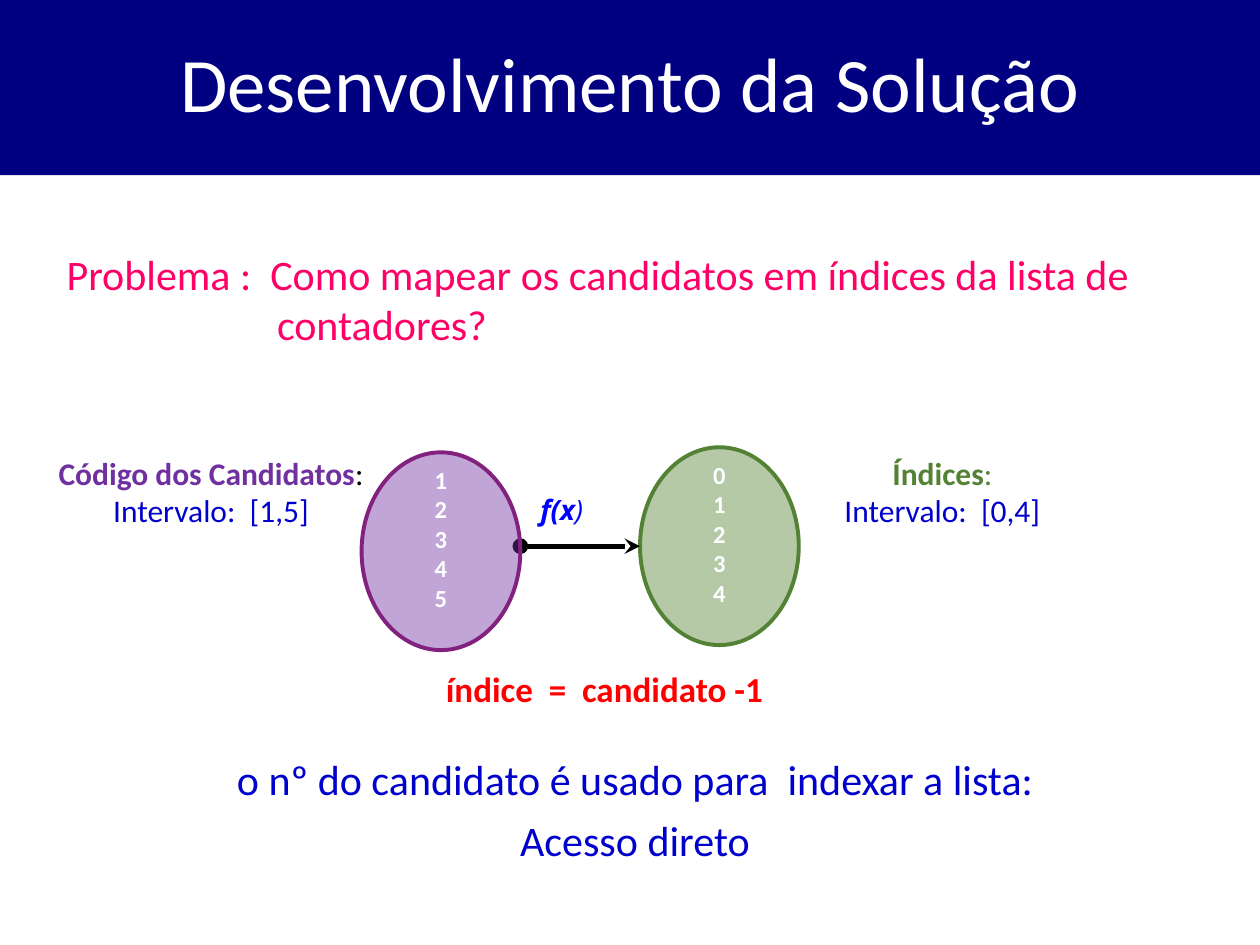
from lxml import etree
from pptx import Presentation
from pptx import util as u
from pptx.dml.color import RGBColor
from pptx.enum import shapes, text
from pptx.oxml.ns import qn

WHITE = RGBColor(0xFF, 0xFF, 0xFF)
BLACK = RGBColor(0, 0, 0)
NAVY = RGBColor(0, 0, 0x80)
BLUE = RGBColor(0, 0, 0xCC)
BRIGHT_BLUE = RGBColor(0, 0, 0xFF)
PINK = RGBColor(0xFF, 0, 0x66)
RED = RGBColor(0xFF, 0, 0)
PURPLE = RGBColor(0x70, 0x30, 0xA0)
PLUM = RGBColor(0x83, 0x21, 0x7E)
GREEN = RGBColor(0x54, 0x82, 0x35)

LEFT, CENTER = text.PP_ALIGN.LEFT, text.PP_ALIGN.CENTER
TOP, MIDDLE = text.MSO_ANCHOR.TOP, text.MSO_ANCHOR.MIDDLE

TITLE = "Desenvolvimento da Solução"
# Each paragraph is a list of runs: (text, colour, bold)
PROBLEM = [[("Problema :  Como mapear os candidatos em índices da lista de contadores?",
             PINK, False)]]
FORMULA = [[("índice  =  candidato -1", RED, True)]]
CONCLUSION = [[("o nº do candidato é usado para  indexar a lista:", BLUE, False)],
              [("Acesso direto", BLUE, False)]]
CODES_LABEL = [[("Código dos Candidatos", PURPLE, True), (":", BLACK, False)],
               [("Intervalo:  [1,5]", BLUE, False)]]
INDICES_LABEL = [[("Índices", GREEN, True), (":", GREEN, False)],
                 [("Intervalo:  [0,4]", BLUE, False)]]
FUNCTION = [[("f(x", BRIGHT_BLUE, True), (")", BRIGHT_BLUE, False)]]

SET_W, SET_H = 1.26, 1.57
CODES = dict(x=2.87, y=3.59, fill=PURPLE, line=PLUM, values=range(1, 6))
INDICES = dict(x=5.08, y=3.55, fill=GREEN, line=GREEN, values=range(5))
ARROW_Y = INDICES["y"] + SET_H / 2


def add_text(s, box, paragraphs, size, align=LEFT, anchor=TOP, wrap=True, font="Calibri"):
    tf = s.shapes.add_textbox(*map(u.Inches, box)).text_frame
    tf.word_wrap, tf.vertical_anchor = wrap, anchor
    for i, runs in enumerate(paragraphs):
        p = tf.paragraphs[0] if i == 0 else tf.add_paragraph()
        p.alignment = align
        p.font.size, p.font.name = u.Pt(size), font
        for words, color, bold in runs:
            r = p.add_run()
            r.text = words
            r.font.bold, r.font.color.rgb = bold, color
    return tf


def add_set(s, x, y, fill, line, values):
    """Draw one set of the mapping as a translucent ellipse listing its values."""
    sp = s.shapes.add_shape(shapes.MSO_SHAPE.OVAL, *map(u.Inches, (x, y, SET_W, SET_H)))
    sp.shadow.inherit = False
    sp.fill.solid()
    sp.fill.fore_color.rgb = fill
    color = sp.fill._xPr.find(".//" + qn("a:srgbClr"))
    etree.SubElement(color, qn("a:alpha"), val="43000")
    sp.line.color.rgb, sp.line.width = line, u.Pt(2.25)
    tf = sp.text_frame
    tf.vertical_anchor = MIDDLE
    tf.margin_left = tf.margin_right = tf.margin_top = 0
    tf.margin_bottom = u.Inches(0.2)
    tf.text = "\n".join(map(str, values))
    for p in tf.paragraphs:
        p.alignment = CENTER
        p.font.size, p.font.name, p.font.bold = u.Pt(14), "Calibri", True
        p.font.color.rgb = WHITE


def add_arrow(s, x1, x2, y):
    c = s.shapes.add_connector(shapes.MSO_CONNECTOR.STRAIGHT,
                               *map(u.Inches, (x1, y, x2, y)))
    c.line.color.rgb, c.line.width = BLACK, u.Pt(3)
    ln = c.line._get_or_add_ln()
    etree.SubElement(ln, qn("a:headEnd"), type="oval")
    etree.SubElement(ln, qn("a:tailEnd"), type="stealth")
    etree.SubElement(c._element.spPr, qn("a:effectLst"))


def add_title(s):
    sp = s.shapes.title
    sp.left, sp.top, sp.width, sp.height = map(u.Inches, (0, 0, 10, 1.39))
    sp.fill.solid()
    sp.fill.fore_color.rgb = NAVY
    sp.text_frame.text = TITLE
    sp.text_frame.vertical_anchor = MIDDLE
    p = sp.text_frame.paragraphs[0]
    p.alignment, p.line_spacing = CENTER, 0.9
    p.font.size, p.font.name, p.font.color.rgb = u.Pt(44), "Calibri", WHITE


def main():
    prs = Presentation()
    prs.slide_width, prs.slide_height = u.Inches(10), u.Inches(7.5)
    s = prs.slides.add_slide(prs.slide_layouts[5])
    add_title(s)

    tf = add_text(s, (0.43, 1.62, 9.29, 1.5), PROBLEM, 24, anchor=MIDDLE)
    hanging = tf.paragraphs[0]._p.get_or_add_pPr()
    hanging.set("marL", str(u.Inches(1.67)))
    hanging.set("indent", str(u.Inches(-1.67)))

    add_text(s, (3.44, 5.25, 3.22, 0.44), FORMULA, 20)
    tf = add_text(s, (0.75, 5.95, 8.58, 0.95), CONCLUSION, 24, CENTER, MIDDLE)
    for p in tf.paragraphs:
        p.space_before = u.Pt(6)

    add_text(s, (0.35, 3.55, 2.65, 1.01), CODES_LABEL, 18, CENTER, wrap=False)
    add_text(s, (6.51, 3.55, 1.94, 1.01), INDICES_LABEL, 18, CENTER, wrap=False)

    add_set(s, **INDICES)
    add_arrow(s, CODES["x"] + SET_W, INDICES["x"], ARROW_Y)
    tf = add_text(s, (4.19, 3.86, 0.73, 0.37), FUNCTION, 16, font="Open Sans")
    tf.paragraphs[0].font.italic = True
    add_set(s, **CODES)

    prs.save("out.pptx")


if __name__ == "__main__":
    main()
